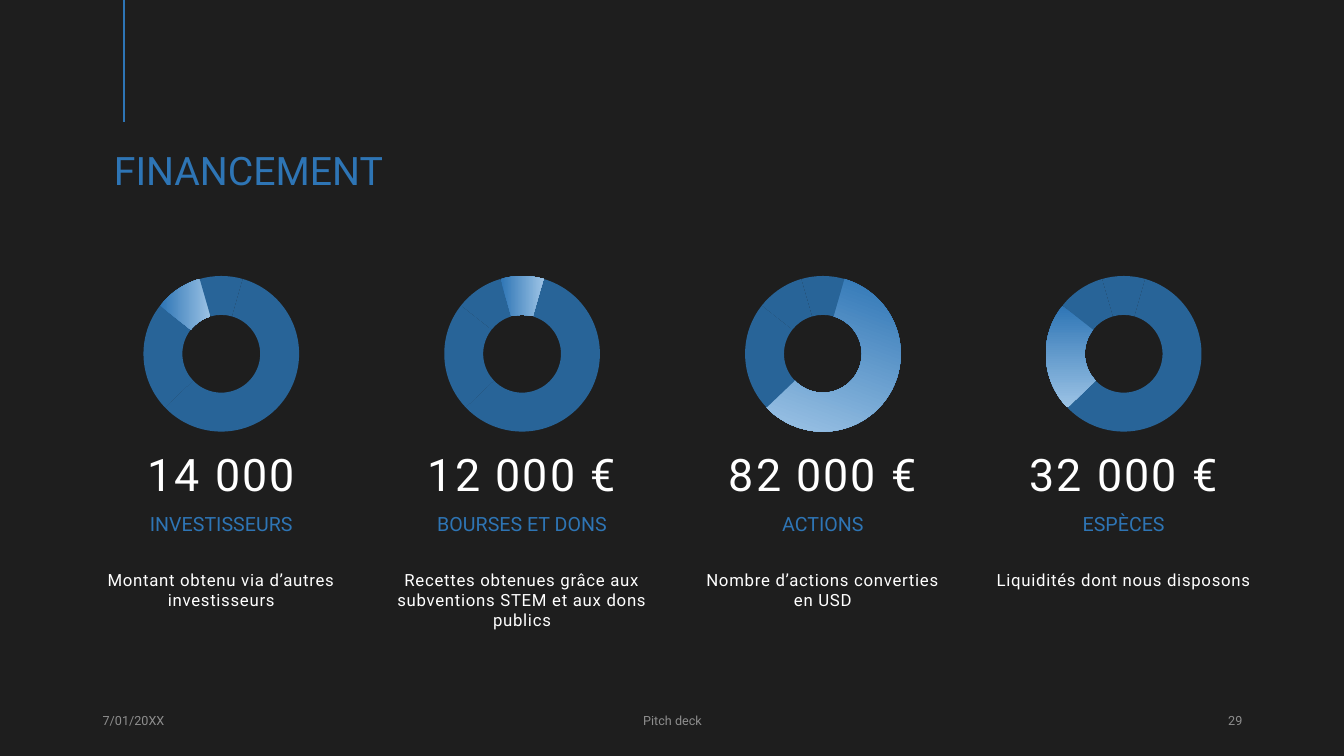
from lxml import etree
from pptx import Presentation
from pptx import util as u
from pptx.chart.data import CategoryChartData
from pptx.dml.color import RGBColor
from pptx.enum import chart, shapes, text
from pptx.oxml import ns

BACKGROUND, ACCENT, RING, PALE = "1E1E1E", "2E75B5", "286498", "9CC3E5"
WHITE, GREY = "FFFFFF", "8E8E8E"
SHARES = (59, 23, 10, 9)
LEFT, RIGHT, WIDTH = 0.92, 9.87, 2.55

# amount, label, description, highlighted slice, clockwise gradient angle
SOURCES = [
    ("14 000", "INVESTISSEURS", "Montant obtenu via d’autres investisseurs", 2, 0),
    ("12 000 €", "BOURSES ET DONS",
     "Recettes obtenues grâce aux subventions STEM et aux dons publics", 3, 0),
    ("82 000 €", "ACTIONS", "Nombre d’actions converties en USD", 0, 110),
    ("32 000 €", "ESPÈCES", "Liquidités dont nous disposons", 1, 90),
]


def rgb(value):
    return RGBColor.from_string(value)


class Deck:
    font = "Roboto"

    def __init__(self):
        self.prs = Presentation()
        self.prs.slide_width, self.prs.slide_height = u.Inches(13.33), u.Inches(7.5)
        self.s = self.prs.slides.add_slide(self.prs.slide_layouts[6])
        fill = self.s.background.fill
        fill.solid()
        fill.fore_color.rgb = rgb(BACKGROUND)

    def set_font(self, font, size, color):
        font.name, font.size = self.font, u.Pt(size)
        font.color.rgb = rgb(color)

    def line(self, x1, y1, x2, y2, color, width):
        sp = self.s.shapes.add_connector(
            shapes.MSO_CONNECTOR.STRAIGHT, *map(u.Inches, (x1, y1, x2, y2)))
        sp.line.color.rgb = rgb(color)
        sp.line.width = u.Pt(width)
        etree.SubElement(sp._element.spPr, ns.qn("a:effectLst"))

    def text(self, box, words, size, color, align="CENTER", anchor="MIDDLE",
             insets=(0, 0), leading=1.0, tracking=0):
        """Add one paragraph; insets are left and right, tracking is in points."""
        tf = self.s.shapes.add_textbox(*map(u.Inches, box)).text_frame
        tf.word_wrap = True
        tf.vertical_anchor = text.MSO_ANCHOR[anchor]
        tf.margin_left, tf.margin_right = map(u.Inches, insets)
        p = tf.paragraphs[0]
        p.alignment = text.PP_ALIGN[align]
        p.line_spacing = leading
        self.set_font(p.font, size, color)
        r = p.add_run()
        r.text = words
        if tracking:
            r._r.get_or_add_rPr().set("spc", str(int(tracking * 100)))

    def doughnut(self, box, values, highlight, angle):
        data = CategoryChartData()
        data.categories = [str(i + 1) for i in range(len(values))]
        data.add_series("Series 1", values)
        ch = self.s.shapes.add_chart(
            chart.XL_CHART_TYPE.DOUGHNUT, *map(u.Inches, box), data).chart
        ch.has_legend = ch.has_title = False
        self.set_font(ch.font, 10, WHITE)
        plot = ch.plots[0]
        plot.vary_by_categories = True
        for tag, value in (("firstSliceAng", 16), ("holeSize", 80)):
            ch._chartSpace.xpath(f".//c:{tag}")[0].set("val", str(value))
        for i in range(len(values)):
            fmt = plot.series[0].points[i].format
            fmt.line.fill.background()
            if i == highlight:
                fmt.fill.gradient()
                fmt.fill.gradient_angle = -angle % 360
                for stop, color in zip(fmt.fill.gradient_stops, (ACCENT, PALE)):
                    stop.color.rgb = rgb(color)
            else:
                fmt.fill.solid()
                fmt.fill.fore_color.rgb = rgb(RING)


def main():
    deck = Deck()
    deck.line(1.23, 0, 1.23, 1.21, ACCENT, 1.5)
    deck.text((1.13, 1.21, 11.5, 1.01), "FINANCEMENT", 28, ACCENT, "LEFT",
              insets=(0, 0.1), leading=0.9)

    for x, width, words, align in ((0.92, 3, "7/01/20XX", "LEFT"),
                                   (4.42, 4.5, "Pitch deck", "CENTER"),
                                   (9.42, 3, "29", "RIGHT")):
        deck.text((x, 6.95, width, 0.4), words, 9, GREY, align, insets=(0.1, 0.1))

    step = (RIGHT - LEFT) / (len(SOURCES) - 1)
    for i, (amount, label, description, highlight, angle) in enumerate(SOURCES):
        x = LEFT + i * step
        deck.doughnut((x + 0.26, 2.6, 2.03, 1.82), SHARES, highlight, angle)
        deck.text((x, 4.14, WIDTH, 0.88), amount, 32, WHITE, anchor="BOTTOM",
                  leading=0.9, tracking=1.5)
        deck.text((x, 4.88, WIDTH, 0.48), label, 14, ACCENT, anchor="BOTTOM",
                  leading=0.9)
        deck.text((x, 5.6, WIDTH, 0.93), description, 12, WHITE, anchor="TOP",
                  tracking=0.5)

    deck.prs.save("out.pptx")


if __name__ == "__main__":
    main()
